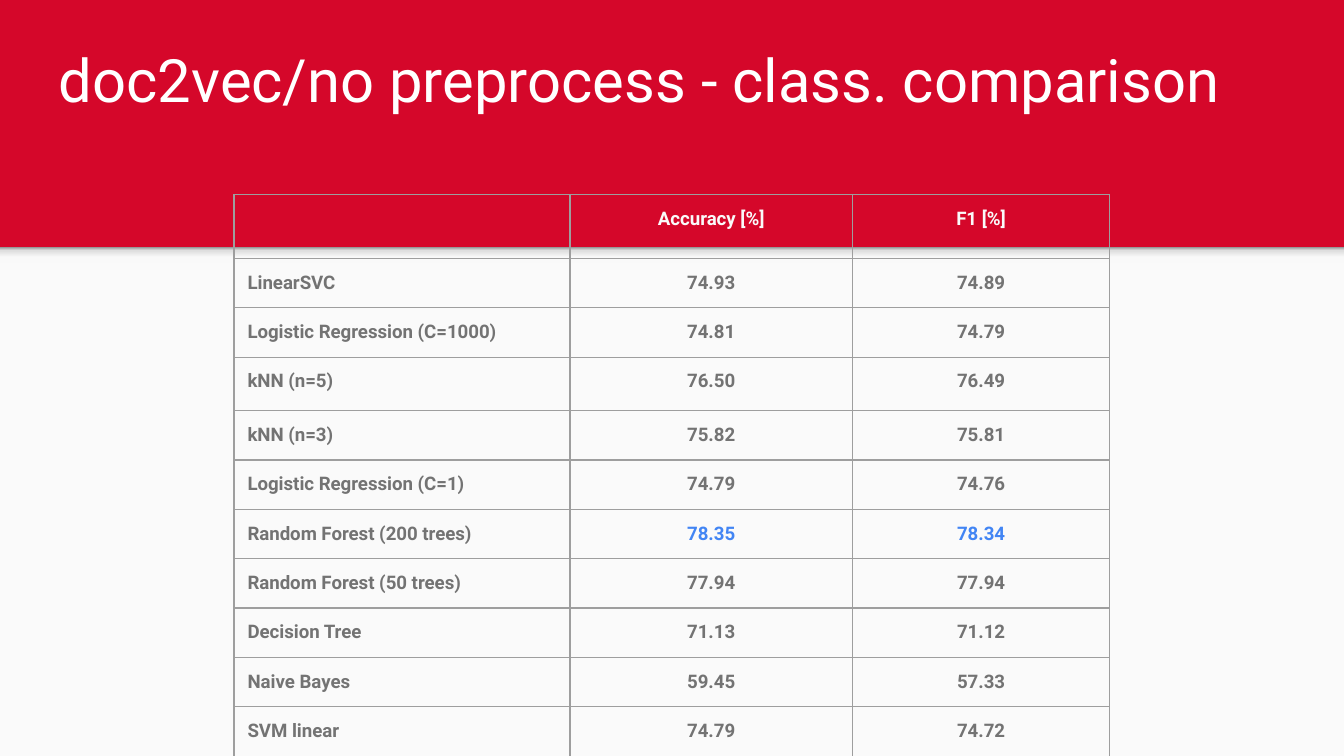
from dataclasses import dataclass
from typing import NamedTuple

from lxml import etree
from pptx import Presentation
from pptx import util as u
from pptx.dml.color import RGBColor
from pptx.enum import shapes, text
from pptx.oxml import ns


@dataclass(frozen=True)
class Theme:
    """Colours, typeface and type sizes."""
    red: str = "D5072A"
    paper: str = "FAFAFA"
    white: str = "FFFFFF"
    grey: str = "737373"
    best: str = "4285F4"
    border: str = "9E9E9E"
    font: str = "Roboto"
    title_size: int = 32
    table_size: int = 10
    inset: float = 7.2
    shadow: tuple = ((0, "F9F9F9"), (36, "F9F9F9"), (80, "DEDEDE"), (100, "999999"))


class Box(NamedTuple):
    """Left, top, width and height in points."""
    left: float
    top: float
    width: float
    height: float

    def emu(self) -> list:
        """Return the four lengths as Pt values."""
        return [u.Pt(v) for v in self]


class Score(NamedTuple):
    """One classifier with its results."""
    name: str
    accuracy: str
    f1: str
    best: bool = False
    height: float = 26.1


T = Theme()
SLIDE_W, SLIDE_H, BAND_H = 720, 405, 132.5
COLUMNS = (180, 151.2, 138)
HEADER = Score("", "Accuracy [%]", "F1 [%]", height=34.3)
SCORES = (
    Score("LinearSVC", "74.93", "74.89"),
    Score("Logistic Regression (C=1000)", "74.81", "74.79"),
    Score("kNN (n=5)", "76.50", "76.49", height=28.6),
    Score("kNN (n=3)", "75.82", "75.81"),
    Score("Logistic Regression (C=1)", "74.79", "74.76"),
    Score("Random Forest (200 trees)", "78.35", "78.34", best=True),
    Score("Random Forest (50 trees)", "77.94", "77.94"),
    Score("Decision Tree", "71.13", "71.12"),
    Score("Naive Bayes", "59.45", "57.33"),
    Score("SVM linear", "74.79", "74.72"),
)


def add_rect(s, box: Box):
    """Add a rectangle without line or shadow."""
    sp = s.shapes.add_shape(shapes.MSO_SHAPE.RECTANGLE, *box.emu())
    sp.shadow.inherit = False
    sp.line.fill.background()
    return sp


def fill_gradient(sp, stops: tuple) -> None:
    """Fill a shape with stops that run from bottom to top."""
    sp.fill.gradient()
    sp.fill.gradient_angle = 90
    gs_list = next(sp._element.iter(ns.qn("a:gsLst")))
    gs_list[:] = []
    for pos, color in stops:
        gs = etree.SubElement(gs_list, ns.qn("a:gs"), pos=str(pos * 1000))
        etree.SubElement(gs, ns.qn("a:srgbClr"), val=color)


def write(p, words: str, size: int, color: str, bold: bool = False) -> None:
    """Write one formatted run."""
    r = p.add_run()
    r.text = words
    for key, value in {"name": T.font, "size": u.Pt(size), "bold": bold}.items():
        setattr(r.font, key, value)
    r.font.color.rgb = RGBColor.from_string(color)


def set_insets(target) -> None:
    """Give a cell or text frame equal margins."""
    for side in ("left", "top", "right", "bottom"):
        setattr(target, f"margin_{side}", u.Pt(T.inset))


def set_borders(cell) -> None:
    """Draw a thin line on every side of a cell."""
    tc_pr = cell._tc.get_or_add_tcPr()
    for side in ("lnL", "lnR", "lnT", "lnB"):
        ln = etree.SubElement(tc_pr, ns.qn(f"a:{side}"), w=str(u.Pt(0.75)))
        fill = etree.SubElement(ln, ns.qn("a:solidFill"))
        etree.SubElement(fill, ns.qn("a:srgbClr"), val=T.border)


def add_title(s, words: str, box: Box) -> None:
    """Add the slide title."""
    tf = s.shapes.add_textbox(*box.emu()).text_frame
    set_insets(tf)
    tf.word_wrap = True
    tf.vertical_anchor = text.MSO_ANCHOR.BOTTOM
    write(tf.paragraphs[0], words, T.title_size, T.white)


def add_scores(s, left: float, top: float, rows: tuple) -> None:
    """Add the score table, header row first."""
    box = Box(left, top, sum(COLUMNS), sum(row.height for row in rows))
    table = s.shapes.add_table(len(rows), len(COLUMNS), *box.emu()).table
    table.first_row = table.horz_banding = False
    for column, width in zip(table.columns, COLUMNS):
        column.width = u.Pt(width)
    for i, row in enumerate(rows):
        table.rows[i].height = u.Pt(row.height)
        for j, words in enumerate(row[:3]):
            cell = table.cell(i, j)
            set_borders(cell)
            cell.fill.background()
            set_insets(cell)
            p = cell.text_frame.paragraphs[0]
            if not words:
                p._p.get_or_add_endParaRPr().set("sz", str(T.table_size * 100))
                continue
            p.alignment = text.PP_ALIGN.CENTER if j else text.PP_ALIGN.LEFT
            color = T.paper if i == 0 else T.best if row.best and j else T.grey
            write(p, words, T.table_size, color, bold=True)


def main() -> None:
    """Build and save the slide."""
    prs = Presentation()
    prs.slide_width, prs.slide_height = u.Pt(SLIDE_W), u.Pt(SLIDE_H)
    s = prs.slides.add_slide(prs.slide_layouts[6])
    s.background.fill.solid()
    s.background.fill.fore_color.rgb = RGBColor.from_string(T.red)
    body = add_rect(s, Box(0, BAND_H, SLIDE_W, SLIDE_H - BAND_H))
    body.fill.solid()
    body.fill.fore_color.rgb = RGBColor.from_string(T.paper)
    fill_gradient(add_rect(s, Box(0, BAND_H, SLIDE_W, 8.6)), T.shadow)
    add_title(s, "doc2vec/no preprocess - class. comparison", Box(24.5, 23, 671, 45.4))
    add_scores(s, 125.4, 104.2, (HEADER, *SCORES))
    prs.save("out.pptx")


if __name__ == "__main__":
    main()
